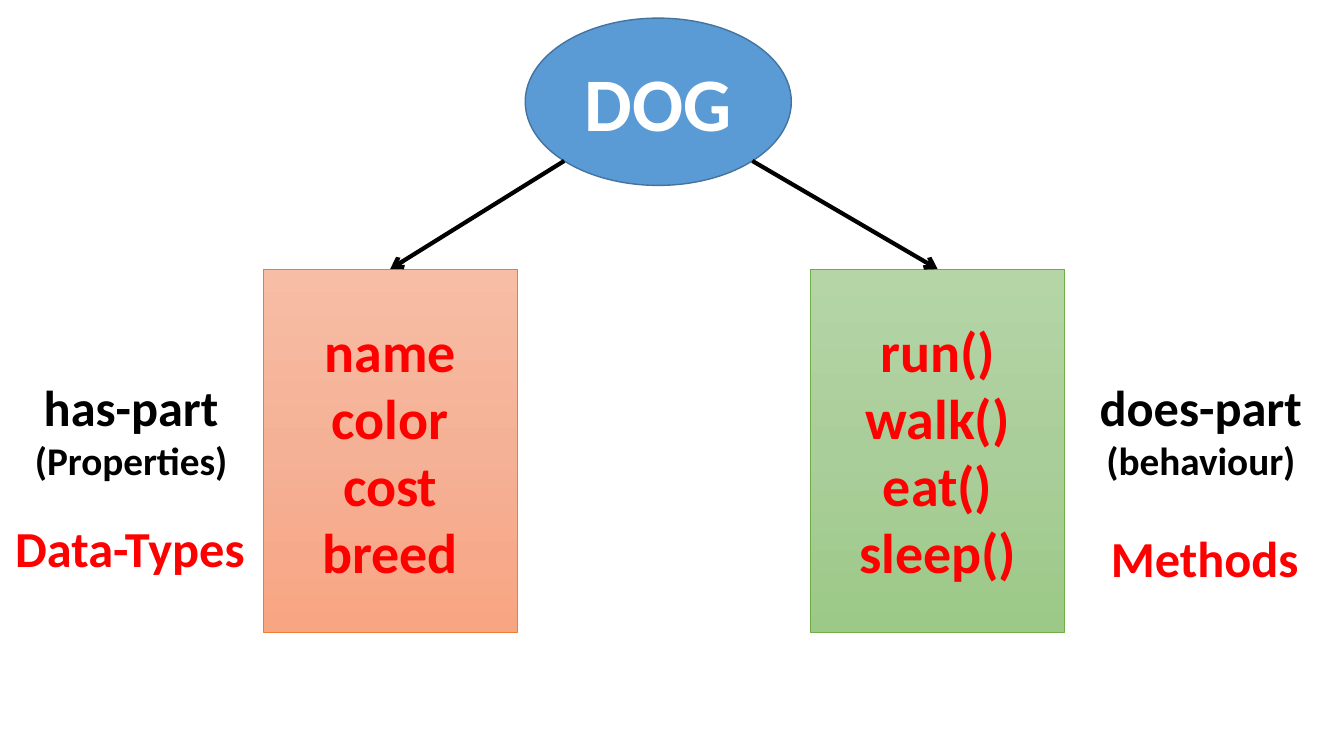
import copy
import math
from dataclasses import dataclass

import lxml.etree
import pptx
import pptx.dml.color
import pptx.enum.shapes
import pptx.enum.text
import pptx.oxml.ns
import pptx.util

SHAPE = pptx.enum.shapes.MSO_SHAPE
ANCHOR = pptx.enum.text.MSO_ANCHOR


@dataclass(frozen=True)
class Theme:
    font: str = "Calibri"
    white: str = "FFFFFF"
    black: str = "000000"
    red: str = "FF0000"
    blue: str = "5B9BD5"
    blue_edge: str = "43739E"
    orange: tuple = ("F7BDA5", "F5B196", "F8A582")
    orange_edge: str = "ED7D31"
    green: tuple = ("B5D5A7", "AACE9A", "9CC987")
    green_edge: str = "70AD47"
    title: int = 54
    member: int = 40
    label: int = 36
    sublabel: int = 28


def rgb(color):
    return pptx.dml.color.RGBColor.from_string(color)


class ClassDiagram:
    """Draws on one slide; lengths are percentages of its width and height."""

    def __init__(self, theme):
        self.theme = theme
        self.deck = pptx.Presentation()
        self.deck.slide_width = pptx.util.Inches(13.33)
        self.deck.slide_height = pptx.util.Inches(7.5)
        self.slide = self.deck.slides.add_slide(self.deck.slide_layouts[6])

    def place(self, *lengths):
        sides = (self.deck.slide_width, self.deck.slide_height)
        return [round(length * sides[i % 2] / 100) for i, length in enumerate(lengths)]

    def set_lines(self, frame, lines, sizes, color, anchor):
        frame.text = "\n".join(lines)
        frame.word_wrap = True
        frame.vertical_anchor = anchor
        for paragraph, size in zip(frame.paragraphs, sizes):
            paragraph.alignment = pptx.enum.text.PP_ALIGN.CENTER
            font = paragraph.runs[0].font
            font.name, font.size, font.bold = self.theme.font, pptx.util.Pt(size), True
            font.color.rgb = rgb(color)

    def node(self, kind, area, colors, edge, edge_width, lines, size, text_color):
        node = self.slide.shapes.add_shape(kind, *self.place(*area))
        node.shadow.inherit = False
        if len(colors) == 1:
            node.fill.solid()
            node.fill.fore_color.rgb = rgb(colors[0])
        else:
            self.shade(node.fill, colors)
        node.line.color.rgb = rgb(edge)
        node.line.width = pptx.util.Pt(edge_width)
        self.set_lines(node.text_frame, lines, [size] * len(lines), text_color, ANCHOR.MIDDLE)

    def shade(self, fill, colors):
        fill.gradient()
        fill.gradient_angle = 270
        # A new gradient has two stops; the middle one is added
        stops = fill._fill._gradFill.gsLst
        stops.insert(1, copy.deepcopy(stops[0]))
        for i, (stop, color) in enumerate(zip(fill.gradient_stops, colors)):
            stop.position = i / (len(colors) - 1)
            stop.color.rgb = rgb(color)

    def arrow(self, start, end):
        arrow = self.slide.shapes.add_connector(
            pptx.enum.shapes.MSO_CONNECTOR.STRAIGHT, *self.place(*start, *end))
        arrow.line.color.rgb = rgb(self.theme.black)
        arrow.line.width = pptx.util.Pt(3)
        qn = pptx.oxml.ns.qn
        lxml.etree.SubElement(arrow.line._get_or_add_ln(), qn("a:tailEnd"), type="arrow")
        lxml.etree.SubElement(arrow._element.spPr, qn("a:effectLst"))

    def label(self, area, lines, sizes, color):
        label = self.slide.shapes.add_textbox(*self.place(*area))
        self.set_lines(label.text_frame, lines, sizes, color, ANCHOR.TOP)
        label.text_frame.auto_size = pptx.enum.text.MSO_AUTO_SIZE.SHAPE_TO_FIT_TEXT


def main():
    theme = Theme()
    diagram = ClassDiagram(theme)

    # The class itself
    dog_left, dog_top, dog_width, dog_height = dog = (39.08, 2.4, 19.8, 22.13)
    diagram.node(SHAPE.OVAL, dog, [theme.blue], theme.blue_edge, 1,
                 ["DOG"], theme.title, theme.white)
    dog_middle = dog_left + dog_width / 2
    reach = math.sqrt(0.5) / 2
    arrow_top = dog_top + dog_height * (0.5 + reach)

    # Its two parts: members, side label and term
    box_top, box_width, box_height = 35.6, 18.9, 48
    parts = [
        (-1, 19.58, theme.orange, theme.orange_edge, ["name", "color", "cost", "breed"],
         1.13, ["has-part", "(Properties)"], (-0.68, 67.73), "Data-Types"),
        (1, 60.32, theme.green, theme.green_edge, ["run()", "walk()", "eat()", "sleep()"],
         80.72, ["does-part", "(behaviour)"], (79.29, 69.07), "Methods"),
    ]
    for side, box_left, colors, edge, members, role_left, role, term_at, term in parts:
        diagram.node(SHAPE.RECTANGLE, (box_left, box_top, box_width, box_height),
                     colors, edge, 0.5, members, theme.member, theme.red)
        diagram.arrow((dog_middle + side * reach * dog_width, arrow_top),
                      (box_left + box_width / 2, box_top))
        diagram.label((role_left, 49.07, 17.25, 15.73), role,
                      [theme.label, theme.sublabel], theme.black)
        diagram.label((*term_at, 20.7, 9.47), [term], [theme.label], theme.red)

    diagram.deck.save("out.pptx")


if __name__ == "__main__":
    main()
